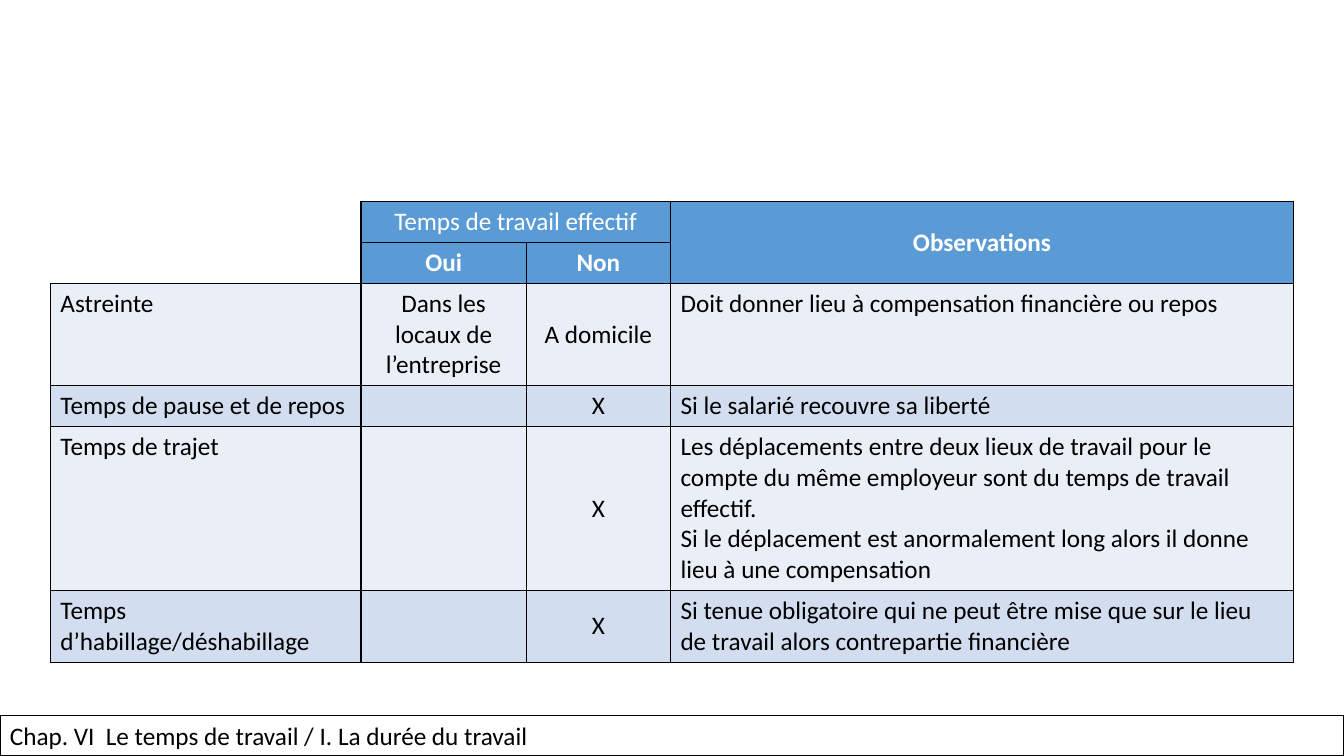
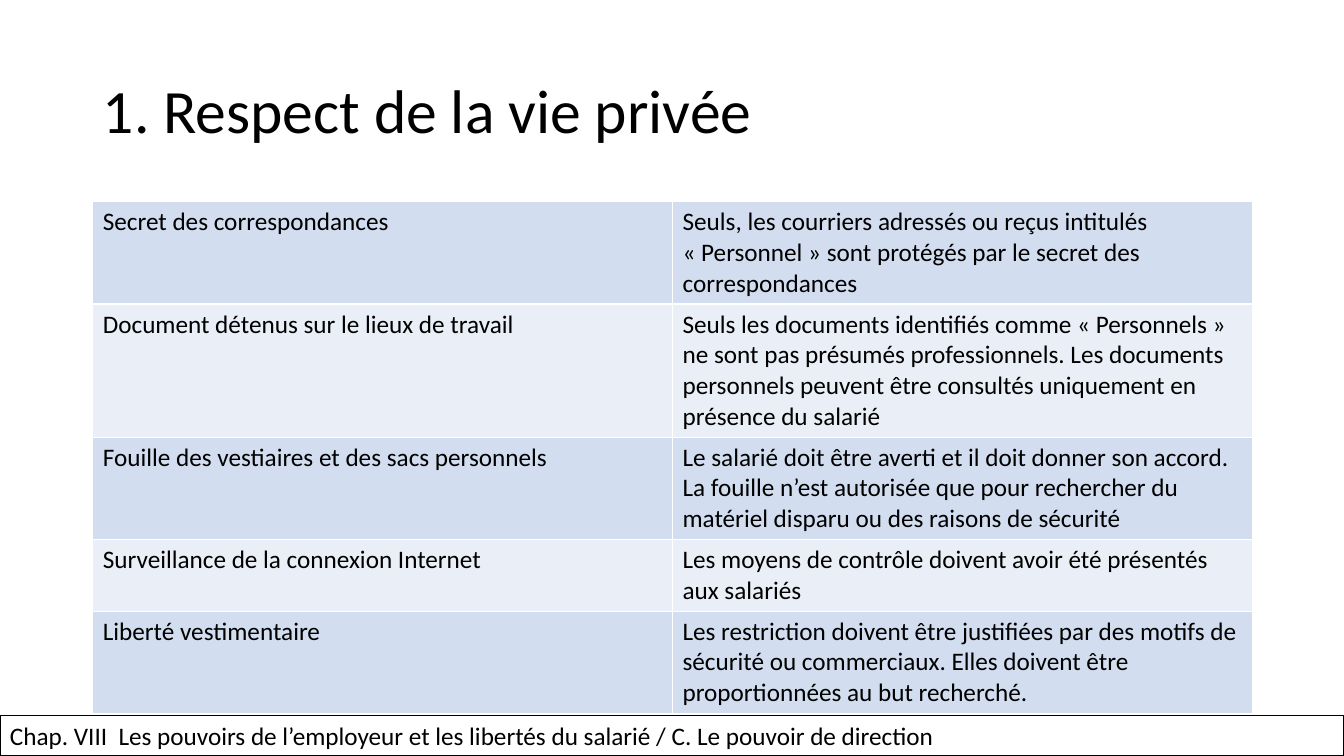
from lxml.etree import SubElement
from pptx import Presentation
from pptx.dml.color import RGBColor
from pptx.enum.shapes import MSO_SHAPE
from pptx.enum.text import MSO_ANCHOR, PP_ALIGN
from pptx.oxml.ns import qn
from pptx.util import Inches, Pt

FONT = "Calibri"
BLACK, WHITE, BLUE = "000000", "FFFFFF", "5B9BD5"
PALE, SOFT = "EAEFF7", "D2DEEF"


def color(value):
    """Turn a hex string into a colour."""
    return RGBColor.from_string(value)


class Course:
    """Hold the course style and the current slide."""

    def __init__(self):
        """Start a widescreen deck."""
        self.deck = Presentation()
        self.deck.slide_width = Inches(13.33)
        self.deck.slide_height = Inches(7.5)

    def add_page(self, title=None):
        """Add a slide, with its title if it has one."""
        layout = self.deck.slide_layouts[5 if title else 6]
        self.page = self.deck.slides.add_slide(layout)
        if title:
            box = self.page.shapes.title
            box.left, box.top = Inches(0.92), Inches(0.4)
            box.width, box.height = Inches(11.5), Inches(1.45)
            box.text_frame.text = title
            box.text_frame.vertical_anchor = MSO_ANCHOR.MIDDLE
            self.format_text(box.text_frame, size=44)
            box.text_frame.paragraphs[0].line_spacing = 0.9

    def format_text(self, frame, ink=BLACK, size=18, bold=False, align=PP_ALIGN.LEFT):
        """Style every paragraph of a text frame."""
        for para in frame.paragraphs:
            para.alignment = align
            para.font.name, para.font.size = FONT, Pt(size)
            para.font.bold = bold
            para.font.color.rgb = color(ink)

    def add_footer(self, text):
        """Add the bordered chapter band."""
        band = self.page.shapes.add_shape(
            MSO_SHAPE.RECTANGLE, 0, Inches(7.1), self.deck.slide_width, Inches(0.4))
        band.shadow.inherit = False
        band.fill.solid()
        band.fill.fore_color.rgb = color(WHITE)
        band.line.color.rgb = color(BLACK)
        band.line.width = Pt(1)
        band.text_frame.text = text
        band.text_frame.word_wrap = True
        band.text_frame.vertical_anchor = MSO_ANCHOR.TOP
        self.format_text(band.text_frame)

    def add_table(self, left, widths, lines, rows):
        """Add a plain table whose rows fit their number of text lines."""
        heights = [Inches(0.1 + 0.305 * count) for count in lines]
        table = self.page.shapes.add_table(
            len(rows), len(widths), Inches(left), Inches(2),
            Inches(sum(widths)), sum(heights)).table
        table.first_row = table.horz_banding = False
        for column, width in zip(table.columns, widths):
            column.width = Inches(width)
        for row, height in zip(table.rows, heights):
            row.height = height
        return table

    def fill_cell(self, cell, text, fill, border, centered=False, **style):
        """Write, outline and fill one cell."""
        cell.text = text
        if centered:
            cell.vertical_anchor = MSO_ANCHOR.MIDDLE
            style["align"] = PP_ALIGN.CENTER
        self.format_text(cell.text_frame, **style)
        properties = cell._tc.get_or_add_tcPr()
        for side in ("lnL", "lnR", "lnT", "lnB"):
            line = SubElement(properties, qn("a:" + side), w=str(Pt(1)))
            SubElement(SubElement(line, qn("a:solidFill")), qn("a:srgbClr"), val=border)
        cell.fill.solid()
        cell.fill.fore_color.rgb = color(fill)


WORK_TIME = [
    [None, "Temps de travail effectif", "", "Observations"],
    [None, "Oui", "Non", ""],
    ["Astreinte", "Dans les locaux de l’entreprise", "A domicile",
     "Doit donner lieu à compensation financière ou repos"],
    ["Temps de pause et de repos", "", "X", "Si le salarié recouvre sa liberté"],
    ["Temps de trajet", "", "X",
     "Les déplacements entre deux lieux de travail pour le compte du même employeur "
     "sont du temps de travail effectif.\n"
     "Si le déplacement est anormalement long alors il donne lieu à une compensation"],
    ["Temps d’habillage/déshabillage", "", "X",
     "Si tenue obligatoire qui ne peut être mise que sur le lieu de travail "
     "alors contrepartie financière"],
]

PRIVACY = [
    ["Secret des correspondances",
     "Seuls, les courriers adressés ou reçus intitulés «\u00a0Personnel\u00a0» "
     "sont protégés par le secret des correspondances"],
    ["Document détenus sur le lieux de travail",
     "Seuls les documents identifiés comme «\u00a0Personnels\u00a0» ne sont pas présumés "
     "professionnels. Les documents personnels peuvent être consultés uniquement "
     "en présence du salarié"],
    ["Fouille des vestiaires et des sacs personnels",
     "Le salarié doit être averti et il doit donner son accord. La fouille n’est autorisée "
     "que pour rechercher du matériel disparu ou des raisons de sécurité"],
    ["Surveillance de la connexion Internet",
     "Les moyens de contrôle doivent avoir été présentés aux salariés"],
    ["Liberté vestimentaire",
     "Les restriction doivent être justifiées par des motifs de sécurité ou commerciaux. "
     "Elles doivent être proportionnées au but recherché."],
]

course = Course()

course.add_page()
table = course.add_table(0.5, [3.08, 1.64, 1.43, 6.18], [1, 1, 3, 1, 5, 2], WORK_TIME)
for r, row in enumerate(WORK_TIME):
    for c, text in enumerate(row):
        cell = table.cell(r, c)
        if text is None:
            cell.fill.background()
        elif r < 2:
            course.fill_cell(cell, text, BLUE, BLACK, centered=True, ink=WHITE,
                             bold=(r, c) != (0, 1))
        else:
            course.fill_cell(cell, text, (PALE, SOFT)[r % 2], BLACK, centered=c in (1, 2))
for first, last in (((0, 0), (1, 0)), ((0, 1), (0, 2)), ((0, 3), (1, 3))):
    table.cell(*first).merge(table.cell(*last))
course.add_footer("Chap. VI  Le temps de travail / I. La durée du travail")

course.add_page("1. Respect de la vie privée")
table = course.add_table(0.92, [5.75, 5.75], [3, 4, 3, 2, 3], PRIVACY)
for r, row in enumerate(PRIVACY):
    for c, text in enumerate(row):
        course.fill_cell(table.cell(r, c), text, (SOFT, PALE)[r % 2], WHITE)
course.add_footer("Chap. VIII  Les pouvoirs de l’employeur et les libertés du salarié "
                  "/ C. Le pouvoir de direction")

course.deck.save("out.pptx")
